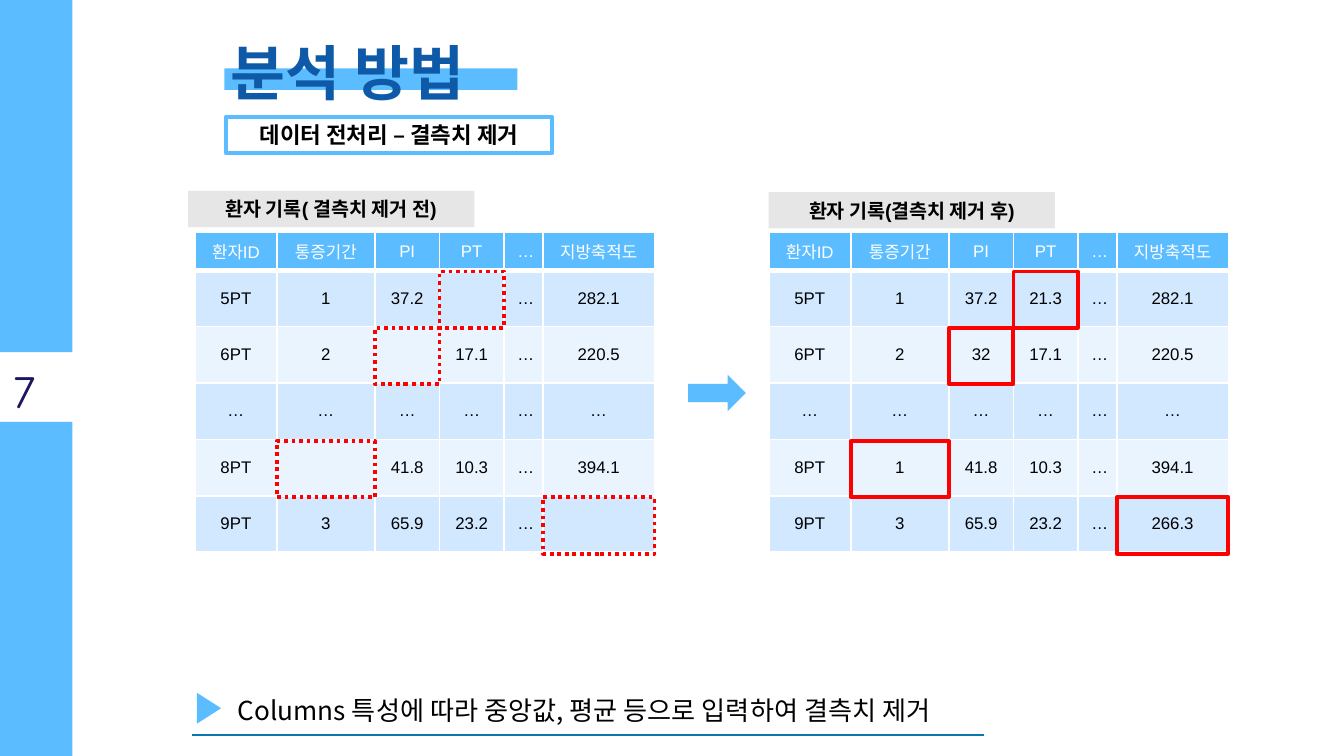
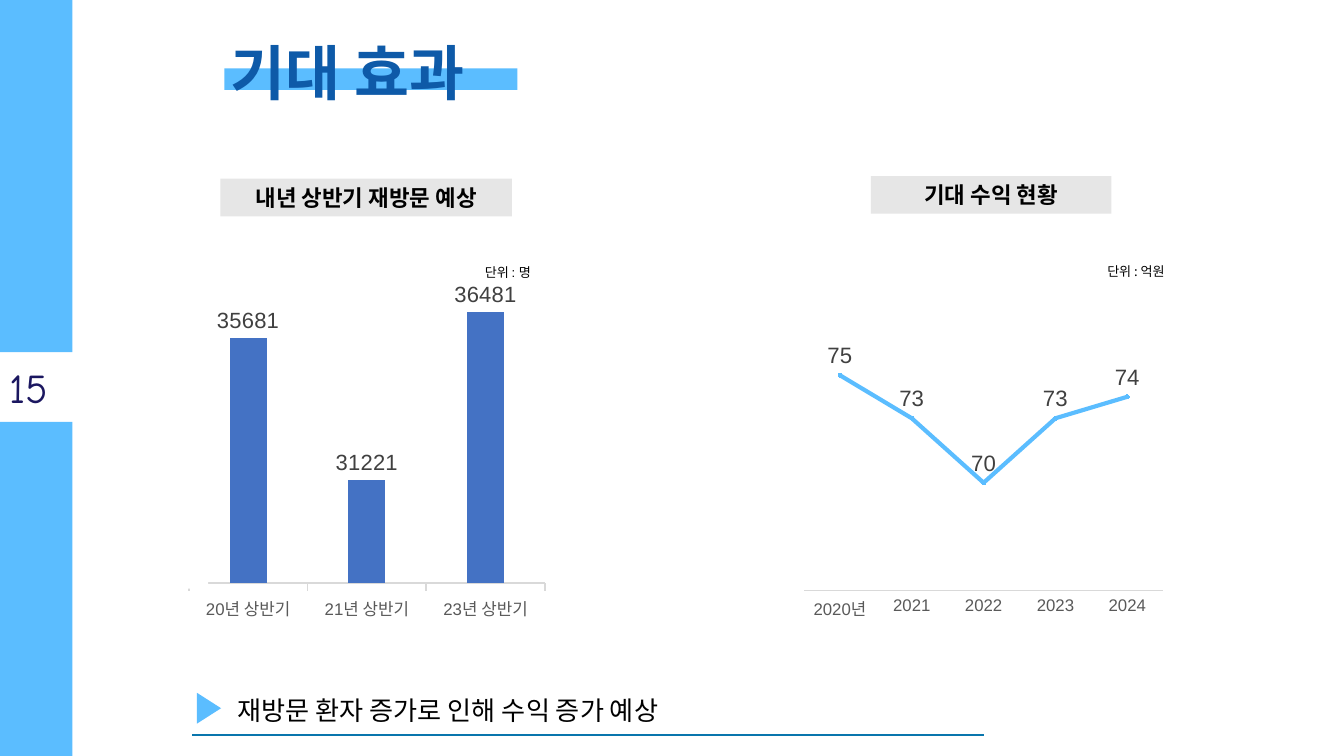
import itertools
import lxml.etree
import pptx
import pptx.chart.data
import pptx.dml.color
import pptx.enum.chart
import pptx.enum.dml
import pptx.enum.shapes
import pptx.enum.text
import pptx.oxml
import pptx.oxml.ns
import pptx.util

SKY = "5BBDFF"
BLUE = "4472C4"
TITLE = "0E5AA8"
NAVY = "1B1760"
RULE = "0976AD"
GREY = "E6E6E6"
BLACK = "000000"
WHITE = "FFFFFF"
RED = "FF0000"
BANDS = ["D2E8FF", "EAF4FF"]
AXIS_TEXT = "595959"
AXIS_LINE = "D9D9D9"
LABEL_TEXT = "404040"
ARIAL = "Arial"
NOTO = "Noto Sans CJK KR"
COMIC = "Comic Neue"

COLS, ROWS = 100, 56.25
TABLE_TOP = 17.3
TABLE_COLS = [6.1, 7.3, 4.8, 4.8, 2.9, 8.3]
TABLE_ROWS = [2.8] + [4.2] * 5

SHAPE = pptx.enum.shapes.MSO_SHAPE
CHART = pptx.enum.chart.XL_CHART_TYPE
LABEL_POS = pptx.enum.chart.XL_LABEL_POSITION
TICK = pptx.enum.chart.XL_TICK_MARK
ALIGN = pptx.enum.text.PP_ALIGN
MIDDLE = pptx.enum.text.MSO_ANCHOR.MIDDLE


def rgb(value):
    return pptx.dml.color.RGBColor.from_string(value)


def sub(parent, tag, **attrs):
    return lxml.etree.SubElement(parent, pptx.oxml.ns.qn(tag), **attrs)


class Deck:
    def __init__(self):
        self.prs = pptx.Presentation()
        self.prs.slide_width = pptx.util.Inches(10)
        self.prs.slide_height = pptx.util.Inches(5.625)
        self.s = None

    def x(self, cols):
        return round(self.prs.slide_width * cols / COLS)

    def y(self, rows):
        return round(self.prs.slide_height * rows / ROWS)

    def box(self, left, top, width, height):
        return self.x(left), self.y(top), self.x(width), self.y(height)

    def slide(self, title, number, number_box, number_size):
        self.s = self.prs.slides.add_slide(self.prs.slide_layouts[6])
        self.shape((16.7, 5.1, 21.8, 1.6), SKY)
        self.text((16.2, 2.2, 55.3, 6.3), title, 32, NOTO, TITLE, bold=True)
        self.shape((0, 0, 5.4, 26.2), SKY)
        self.shape((0, 31.4, 5.4, 24.85), SKY)
        self.text(number_box, number, number_size, COMIC, NAVY)

    def run(self, p, text, size, font, color, bold=False):
        r = p.add_run()
        r.text = text
        r.font.size = pptx.util.Pt(size)
        r.font.name = font
        r.font.bold = bold
        r.font.color.rgb = rgb(color)
        sub(r.font._element, "a:ea", typeface=NOTO)

    def shape(self, at, fill=None, line=None, kind=SHAPE.RECTANGLE, dotted=False, turn=0):
        sp = self.s.shapes.add_shape(kind, *self.box(*at))
        sp.shadow.inherit = False
        sp.rotation = turn
        if fill:
            sp.fill.solid()
            sp.fill.fore_color.rgb = rgb(fill)
        else:
            sp.fill.background()
        if line:
            sp.line.color.rgb = rgb(line)
            sp.line.width = pptx.util.Pt(2)
            if dotted:
                sp.line.dash_style = pptx.enum.dml.MSO_LINE.ROUND_DOT
        else:
            sp.line.fill.background()
        return sp

    def label(self, at, text, size, font=ARIAL, fill=GREY, line=None):
        tf = self.shape(at, fill, line).text_frame
        tf.word_wrap = True
        tf.vertical_anchor = MIDDLE
        p = tf.paragraphs[0]
        p.alignment = ALIGN.CENTER
        self.run(p, text, size, font, BLACK, bold=True)

    def text(self, at, text, size, font, color=BLACK, bold=False):
        tf = self.s.shapes.add_textbox(*self.box(*at)).text_frame
        tf.word_wrap = True
        tf.auto_size = pptx.enum.text.MSO_AUTO_SIZE.SHAPE_TO_FIT_TEXT
        self.run(tf.paragraphs[0], text, size, font, color, bold)

    def conclusion(self, text, width):
        line = self.s.shapes.add_connector(
            pptx.enum.shapes.MSO_CONNECTOR.STRAIGHT,
            self.x(14.3), self.y(54.7), self.x(73.2), self.y(54.7))
        line.line.color.rgb = rgb(RULE)
        line.line.width = pptx.util.Pt(0.75)
        sub(line._element.spPr, "a:effectLst")
        self.text((16.7, 51.2, width, 3.4), text, 14, NOTO)
        self.shape((14.4, 51.8, 2.3, 1.8), SKY, kind=SHAPE.ISOSCELES_TRIANGLE, turn=90)

    def borders(self, cell, bottom):
        tcPr = cell._tc.get_or_add_tcPr()
        for index, (side, width) in enumerate(zip("LRTB", (1, 1, 1, bottom))):
            ln = pptx.oxml.parse_xml(
                f'<a:ln{side} {pptx.oxml.ns.nsdecls("a")} w="{pptx.util.Pt(width)}">'
                f'<a:solidFill><a:srgbClr val="{WHITE}"/></a:solidFill></a:ln{side}>')
            tcPr.insert(index, ln)

    def table(self, left, rows):
        at = self.box(left, TABLE_TOP, sum(TABLE_COLS), sum(TABLE_ROWS))
        table = self.s.shapes.add_table(len(rows), len(TABLE_COLS), *at).table
        table.first_row = table.horz_banding = False
        for col, width in zip(table.columns, TABLE_COLS):
            col.width = self.x(width)
        for row, height in zip(table.rows, TABLE_ROWS):
            row.height = self.y(height)
        for i, values in enumerate(rows):
            for j, value in enumerate(values):
                cell = table.cell(i, j)
                cell.vertical_anchor = MIDDLE
                cell.fill.solid()
                cell.fill.fore_color.rgb = rgb(BANDS[(i - 1) % 2] if i else SKY)
                self.borders(cell, 1 if i else 3)
                p = cell.text_frame.paragraphs[0]
                p.alignment = ALIGN.CENTER
                if value:
                    self.run(p, value, 9, ARIAL, BLACK if i else WHITE)
                else:
                    sub(p._p, "a:endParaRPr", sz="900")

    def mark(self, left, cells, dotted):
        lefts = [0, *itertools.accumulate(TABLE_COLS)]
        tops = [0, *itertools.accumulate(TABLE_ROWS)]
        for i, j in cells:
            at = (left + lefts[j], TABLE_TOP + 0.1 + tops[i], TABLE_COLS[j], TABLE_ROWS[i])
            self.shape(at, line=RED, dotted=dotted)

    def style(self, font, size, color):
        font.name = ARIAL
        font.size = pptx.util.Pt(size)
        font.color.rgb = rgb(color)

    def chart(self, at, kind, cats, vals, limits, label_pos, label_size, tick):
        data = pptx.chart.data.CategoryChartData()
        data.categories = cats
        data.add_series("Series 1", vals)
        chart = self.s.shapes.add_chart(kind, *self.box(*at), data).chart
        chart.has_title = chart.has_legend = False
        self.style(chart.font, 10, BLACK)
        axis = chart.category_axis
        axis.major_tick_mark = tick
        axis.minor_tick_mark = TICK.NONE
        axis.has_major_gridlines = False
        axis.format.line.color.rgb = rgb(AXIS_LINE)
        axis.format.line.width = pptx.util.Pt(0.75)
        self.style(axis.tick_labels.font, 9, AXIS_TEXT)
        axis = chart.value_axis
        axis.visible = axis.has_major_gridlines = False
        axis.minimum_scale, axis.maximum_scale = limits
        plot = chart.plots[0]
        plot.vary_by_categories = False
        plot.has_data_labels = True
        labels = plot.data_labels
        labels.show_value = True
        labels.position = label_pos
        self.style(labels.font, label_size, LABEL_TEXT)
        return chart

    def columns(self, at, cats, vals, limits):
        chart = self.chart(at, CHART.COLUMN_CLUSTERED, cats, vals, limits,
                           LABEL_POS.OUTSIDE_END, 11.8, TICK.OUTSIDE)
        plot = chart.plots[0]
        plot.gap_width = 219
        plot.overlap = -27
        fill = plot.series[0].format.fill
        fill.solid()
        fill.fore_color.rgb = rgb(BLUE)

    def trend(self, at, cats, vals, limits, area):
        chart = self.chart(at, CHART.LINE_MARKERS, cats, vals, limits,
                           LABEL_POS.ABOVE, 11.9, TICK.NONE)
        series = chart.plots[0].series[0]
        series.smooth = False
        series.format.line.color.rgb = rgb(SKY)
        series.format.line.width = pptx.util.Pt(2.23)
        marker = series.marker
        marker.style = pptx.enum.chart.XL_MARKER_STYLE.CIRCLE
        marker.size = 2
        marker.format.fill.solid()
        marker.format.fill.fore_color.rgb = rgb(BLUE)
        marker.format.line.color.rgb = rgb(SKY)
        plot_area = chart._chartSpace.chart.plotArea
        for old in plot_area.findall(pptx.oxml.ns.qn("c:layout")):
            plot_area.remove(old)
        layout = lxml.etree.Element(pptx.oxml.ns.qn("c:layout"))
        plot_area.insert(0, layout)
        manual = sub(layout, "c:manualLayout")
        sub(manual, "c:layoutTarget", val="inner")
        for mode in ("xMode", "yMode"):
            sub(manual, f"c:{mode}", val="edge")
        for name, value in zip("xywh", area):
            sub(manual, f"c:{name}", val=str(value))


def preprocessing(deck):
    deck.slide("분석 방법", "7", (0, 26.4, 5.4, 5.2), 25)
    deck.label((16.8, 8.7, 24.3, 2.7), "데이터 전처리 – 결측치 제거", 12, fill=WHITE, line=SKY)
    after = [
        ["환자ID", "통증기간", "PI", "PT", "…", "지방축적도"],
        ["5PT", "1", "37.2", "21.3", "…", "282.1"],
        ["6PT", "2", "32", "17.1", "…", "220.5"],
        ["…"] * 6,
        ["8PT", "1", "41.8", "10.3", "…", "394.1"],
        ["9PT", "3", "65.9", "23.2", "…", "266.3"],
    ]
    missing = [(2, 2), (4, 1), (5, 5), (1, 3)]
    before = [["" if (i, j) in missing else value for j, value in enumerate(row)]
              for i, row in enumerate(after)]
    for left, rows, dotted in ((14.5, before, True), (57.2, after, False)):
        deck.table(left, rows)
        deck.mark(left, missing, dotted)
    deck.shape((51.2, 27.9, 4.3, 2.7), SKY, kind=SHAPE.RIGHT_ARROW)
    deck.label((14, 14.2, 21.3, 2.7), "환자 기록( 결측치 제거 전)", 10.5)
    deck.label((57.2, 14.3, 21.3, 2.7), "환자 기록(결측치 제거 후)", 10.5)
    deck.conclusion("Columns 특성에 따라 중앙값, 평균 등으로 입력하여 결측치 제거", 65.4)


def expected_effect(deck):
    deck.slide("기대 효과", "15", (-0.3, 26.5, 7.7, 4.6), 22)
    deck.text((81.4, 19.1, 7.2, 2.2), "단위 : 억원", 7, NOTO)
    deck.trend((59, 19.1, 27.6, 27.6), ["2020년", "2021", "2022", "2023", "2024"],
               [75, 73, 70, 73, 74], (65, 80), (0.03, 0.03, 0.97, 0.87))
    deck.label((64.8, 13.1, 17.9, 2.8), "기대 수익 현황", 12, NOTO)
    deck.label((16.4, 13.3, 21.7, 2.8), "내년 상반기 재방문 예상", 12, NOTO)
    deck.columns((13.5, 19.1, 27.6, 27.6), ["20년 상반기", "21년 상반기", "23년 상반기"],
                 [35681, 31221, 36481], (28000, 38000))
    deck.text((35.1, 19.2, 6, 2.3), "단위 : 명", 7, ARIAL)
    deck.conclusion("재방문 환자 증가로 인해 수익 증가 예상", 78.1)
    for left, top in ((13.5, 19.1), (58.3, 18.2)):
        deck.shape((left, top, 2, 24.7), WHITE)


def main():
    deck = Deck()
    preprocessing(deck)
    expected_effect(deck)
    deck.prs.save("out.pptx")


if __name__ == "__main__":
    main()
